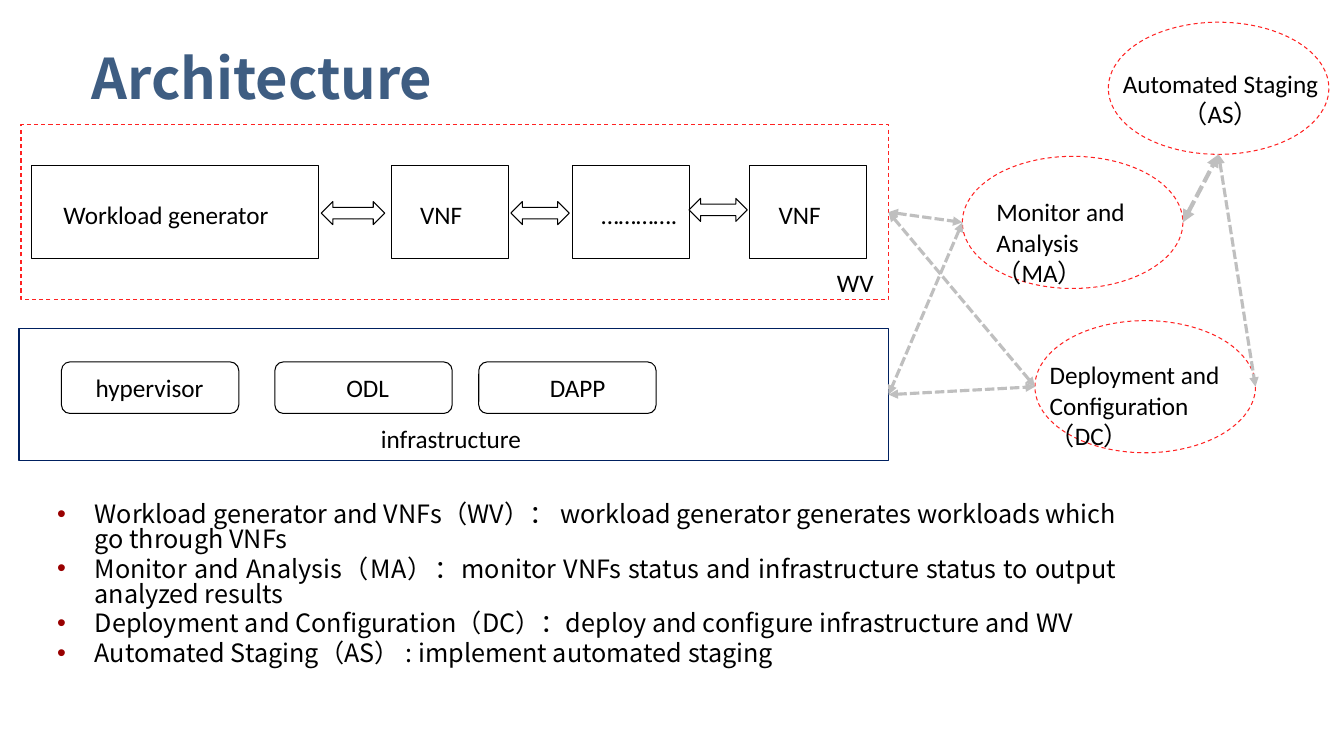
from lxml.etree import SubElement
from pptx import Presentation
from pptx.dml.color import RGBColor
from pptx.enum.dml import MSO_LINE_DASH_STYLE as Dash
from pptx.enum.shapes import MSO_CONNECTOR, MSO_SHAPE as Preset
from pptx.enum.text import MSO_AUTO_SIZE as AutoSize, PP_ALIGN as Align
from pptx.oxml.ns import qn
from pptx.util import Cm, Pt

COLORS = {
    "title": "3E5D82", "text": "000000", "bullet": "990000",
    "module": "FF2222", "infrastructure": "002060", "link": "BFBFBF",
}
HEADING_FONT = "Noto Sans CJK SC"
LABEL_FONT = "Calibri"


def color(name):
    return RGBColor.from_string(COLORS[name])


def write(frame, text, font=LABEL_FONT, size=18, ink="text", bold=False,
          align=Align.LEFT, spacing=None, gap=0, bullet=False):
    for index, line in enumerate(text.split("\n")):
        paragraph = frame.paragraphs[0] if index == 0 else frame.add_paragraph()
        paragraph.alignment = align
        if spacing:
            paragraph.line_spacing = spacing
        if gap and index:
            paragraph.space_before = Pt(gap)
        if bullet:
            properties = paragraph._p.get_or_add_pPr()
            properties.set("marL", str(Cm(0.95)))
            properties.set("indent", str(-Cm(0.95)))
            bullet_color = SubElement(properties, qn("a:buClr"))
            SubElement(bullet_color, qn("a:srgbClr"), val=COLORS["bullet"])
            SubElement(properties, qn("a:buFont"), typeface="Arial")
            SubElement(properties, qn("a:buChar"), char="•")
        run = paragraph.add_run()
        run.text = line
        run.font.name = font
        run.font.size = Pt(size)
        run.font.bold = bold
        run.font.color.rgb = color(ink)
        SubElement(run._r.get_or_add_rPr(), qn("a:ea"), typeface=HEADING_FONT)


class Diagram:
    def __init__(self, slide):
        self.slide = slide

    def text(self, left, top, width, height, text, wrap=True, margin=None, **style):
        box = self.slide.shapes.add_textbox(Cm(left), Cm(top), Cm(width), Cm(height))
        frame = box.text_frame
        frame.word_wrap = wrap
        frame.auto_size = AutoSize.NONE if wrap else AutoSize.SHAPE_TO_FIT_TEXT
        if margin is not None:
            frame.margin_left = frame.margin_right = Cm(margin)
            frame.margin_top = frame.margin_bottom = Cm(margin)
        write(frame, text, **style)

    def label(self, left, top, width, text):
        self.text(left, top, width, 1.02, text, wrap=False)

    def outline(self, preset, left, top, width, height, ink="text", dash=None):
        shape = self.slide.shapes.add_shape(
            preset, Cm(left), Cm(top), Cm(width), Cm(height))
        shape.shadow.inherit = False
        shape.fill.background()
        shape.line.color.rgb = color(ink)
        shape.line.width = Pt(0.75)
        if dash:
            shape.line.dash_style = dash
        return shape

    def link(self, begin, end, width=2.25):
        connector = self.slide.shapes.add_connector(
            MSO_CONNECTOR.STRAIGHT, *side(*begin), *side(*end))
        for (shape, site), join in ((begin, connector.begin_connect),
                                    (end, connector.end_connect)):
            if shape.auto_shape_type == Preset.RECTANGLE:
                join(shape, site)
        connector.line.color.rgb = color("link")
        connector.line.width = Pt(width)
        connector.line.dash_style = Dash.SQUARE_DOT
        line = connector.line._get_or_add_ln()
        for tag in ("a:headEnd", "a:tailEnd"):
            SubElement(line, qn(tag), type="triangle")
        SubElement(connector._element.spPr, qn("a:effectLst"))


TOP, LEFT, BOTTOM, RIGHT = range(4)


def side(shape, site):
    across, down = ((0.5, 0), (0, 0.5), (0.5, 1), (1, 0.5))[site]
    return (int(shape.left + shape.width * across),
            int(shape.top + shape.height * down))


def main():
    presentation = Presentation()
    presentation.slide_width = Cm(33.88)
    presentation.slide_height = Cm(19.05)
    diagram = Diagram(presentation.slides.add_slide(presentation.slide_layouts[6]))

    diagram.text(2.31, 1.37, 29.29, 1.42, "Architecture", margin=0, size=40,
                 font=HEADING_FONT, ink="title", bold=True, spacing=Pt(40))
    diagram.text(
        1.19, 12.57, 27.2, 5.36,
        "Workload generator and VNFs（WV）： workload generator generates workloads which go through VNFs\n"
        "Monitor and Analysis（MA）：monitor VNFs status and infrastructure status to output analyzed results\n"
        "Deployment and Configuration（DC）：deploy and configure infrastructure and WV\n"
        "Automated Staging（AS） : implement automated staging",
        font=HEADING_FONT, align=Align.JUSTIFY, spacing=0.82, gap=3.6, bullet=True)

    for left, width, inset, label_width, name in (
            (0.79, 7.24, 0.56, 5.74, "Workload generator"),
            (9.86, 2.95, 0.48, 1.73, "VNF"),
            (14.43, 2.95, 0.48, 2.59, "…………."),
            (18.9, 2.95, 0.48, 1.73, "VNF")):
        diagram.outline(Preset.RECTANGLE, left, 4.17, width, 2.34)
        diagram.label(left + inset, 4.9, label_width, name)

    workload = diagram.outline(Preset.RECTANGLE, 0.53, 3.15, 21.87, 4.39,
                               ink="module", dash=Dash.DASH)
    infrastructure = diagram.outline(Preset.RECTANGLE, 0.48, 8.28, 21.92, 3.33,
                                     ink="infrastructure")

    for left, inset, label_width, name in (
            (1.55, 0.61, 3.23, "hypervisor"),
            (6.93, 1.55, 1.6, "ODL"),
            (12.07, 1.54, 1.93, "DAPP")):
        diagram.outline(Preset.ROUNDED_RECTANGLE, left, 9.12, 4.47, 1.3)
        diagram.label(left + inset, 9.25, label_width, name)

    staging, monitor, deployment = (
        diagram.outline(Preset.OVAL, left, top, 5.56, 3.33, ink="module", dash=Dash.DASH)
        for left, top in ((27.94, 0.56), (24.26, 3.94), (26.09, 8.08)))

    diagram.link((monitor, RIGHT), (staging, BOTTOM), width=3)
    for begin, end in (
            ((workload, RIGHT), (deployment, LEFT)),
            ((infrastructure, RIGHT), (deployment, LEFT)),
            ((workload, RIGHT), (monitor, LEFT)),
            ((staging, BOTTOM), (deployment, RIGHT)),
            ((monitor, LEFT), (infrastructure, RIGHT))):
        diagram.link(begin, end)

    diagram.text(26.21, 8.94, 5.9, 1.8, "Deployment and\nConfiguration（DC）")
    diagram.text(24.87, 4.83, 4.6, 1.8, "Monitor and\nAnalysis（MA）")
    diagram.text(27.94, 1.6, 5.66, 1.8, "Automated Staging\n（AS）", align=Align.CENTER)
    diagram.label(9.35, 10.54, 4.09, "infrastructure")
    diagram.label(20.85, 6.6, 1.45, "WV")

    for left, top, width in ((8.1, 5.08, 1.6), (12.88, 5.08, 1.47), (17.37, 5, 1.47)):
        diagram.outline(Preset.LEFT_RIGHT_ARROW, left, top, width, 0.58)

    presentation.save("out.pptx")


if __name__ == "__main__":
    main()
